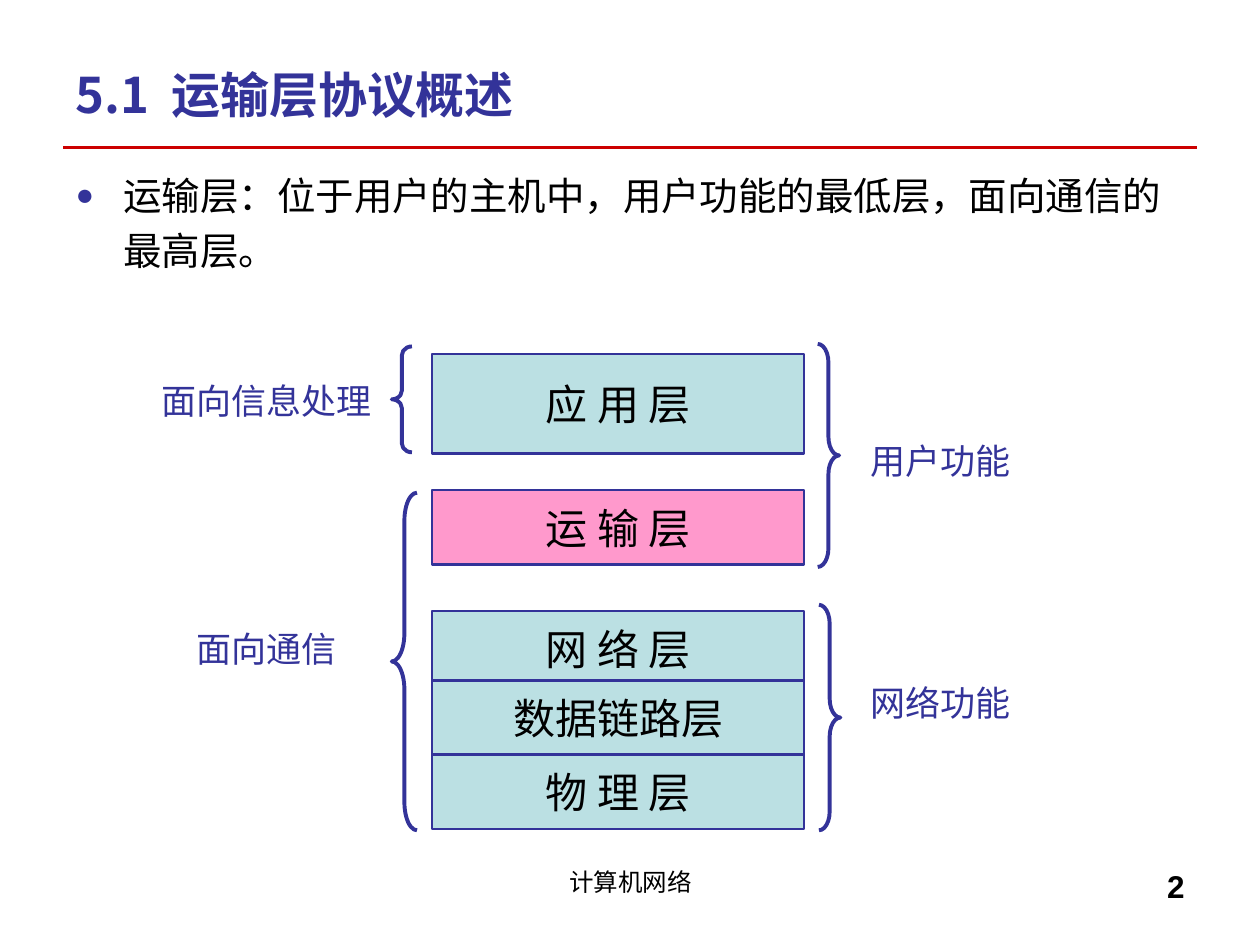
import pptx
import pptx.util
import pptx.dml.color
import pptx.enum.shapes
import pptx.enum.text
import pptx.oxml
import pptx.oxml.ns
from dataclasses import dataclass

PX = 9144  # 100 px to the inch


@dataclass(frozen=True)
class Theme:
    blue: str = "333399"
    red: str = "CC0000"
    teal: str = "BBE0E3"
    pink: str = "FF99CC"
    black: str = "000000"
    sans: str = "Arial"
    serif: str = "Times New Roman"
    han: str = "Noto Sans CJK SC"
    title: int = 28
    body: int = 22
    layer: int = 24
    label: int = 20
    foot: int = 14
    page: int = 18


T = Theme()
RGB = pptx.dml.color.RGBColor.from_string
KIND = pptx.enum.shapes.MSO_SHAPE
ALIGN = pptx.enum.text.PP_ALIGN
MID = pptx.enum.text.MSO_ANCHOR.MIDDLE
FIT = pptx.enum.text.MSO_AUTO_SIZE.NONE


def place(shape, left, top, width, height):
    shape.left, shape.top = left * PX, top * PX
    shape.width, shape.height = width * PX, height * PX


def write(shape, text, size, color, align, face=T.sans, bold=False, wrap=False):
    frame = shape.text_frame
    frame.auto_size = FIT
    frame.word_wrap = wrap
    para = frame.paragraphs[0]
    para.alignment = align
    run = para.add_run()
    run.text = text
    font = run.font
    font.size, font.bold, font.name = pptx.util.Pt(size), bold, face
    font.color.rgb = RGB(color)
    east = pptx.oxml.parse_xml(
        f'<a:ea {pptx.oxml.ns.nsdecls("a")} typeface="{T.han}"/>')
    font._element.find(pptx.oxml.ns.qn("a:latin")).addnext(east)
    return run


deck = pptx.Presentation()
deck.slide_width, deck.slide_height = 1000 * PX, 750 * PX
slide = deck.slides.add_slide(deck.slide_layouts[1])
shapes = slide.shapes

# Title, with a wide gap after the number
head = shapes.title
place(head, 50, 33, 900, 83)
head.text_frame.vertical_anchor = MID
for part, gap in (("5.1", 0), (" ", 630), ("运输层协议概述", 0)):
    run = write(head, part, T.title, T.blue, ALIGN.LEFT, T.han, True, True)
    run.font._element.set("spc", str(gap))

# Rule under the title
rule = shapes.add_connector(
    pptx.enum.shapes.MSO_CONNECTOR.STRAIGHT, 50 * PX, 117 * PX, 950 * PX, 117 * PX)
rule.line.color.rgb = RGB(T.red)
rule.line.width = pptx.util.Pt(2)
rule._element.spPr.append(
    pptx.oxml.parse_xml(f'<a:effectLst {pptx.oxml.ns.nsdecls("a")}/>'))

# Bulleted statement
body = slide.placeholders[1]
place(body, 50, 124, 900, 558)
para = body.text_frame.paragraphs[0]
para.line_spacing = 1.2
para.space_before = pptx.util.Pt(0)
props = para._p.get_or_add_pPr()
props.set("marL", str(38 * PX))
props.set("indent", str(-38 * PX))
for mark in (f'buClr {{}}><a:srgbClr val="{T.blue}"/></a:buClr>',
             'buSzPct {} val="80000"/>',
             f'buFont {{}} typeface="{T.sans}"/>',
             'buChar {} char="●"/>'):
    props.append(pptx.oxml.parse_xml("<a:" + mark.format(pptx.oxml.ns.nsdecls("a"))))
write(body, "运输层：位于用户的主机中，用户功能的最低层，面向通信的最高层。",
      T.body, T.black, ALIGN.LEFT, T.serif, wrap=True)

# Layer stack
for text, top, height, fill in (
        ("应 用 层", 281, 79, T.teal),
        ("运 输 层", 389, 59, T.pink),
        ("网 络 层", 485, 59, T.teal),
        ("数据链路层", 540, 59, T.teal),
        ("物 理 层", 599, 59, T.teal)):
    box = shapes.add_shape(KIND.RECTANGLE, 343 * PX, top * PX, 295 * PX, height * PX)
    box.shadow.inherit = False
    box.fill.solid()
    box.fill.fore_color.rgb = RGB(fill)
    box.line.color.rgb = RGB(T.blue)
    box.line.width = pptx.util.Pt(1.5)
    box.text_frame.vertical_anchor = MID
    write(box, text, T.layer, T.black, ALIGN.CENTER)

# Braces; each curl takes a twelfth of the height
for kind, left, top, width, height in (
        (KIND.LEFT_BRACE, 311, 275, 16, 84),
        (KIND.LEFT_BRACE, 311, 391, 20, 268),
        (KIND.RIGHT_BRACE, 649, 273, 17, 177),
        (KIND.RIGHT_BRACE, 650, 480, 17, 179)):
    brace = shapes.add_shape(kind, left * PX, top * PX, width * PX, height * PX)
    brace.adjustments[0] = height / 12 / width
    brace.shadow.inherit = False
    brace.fill.background()
    brace.line.color.rgb = RGB(T.blue)
    brace.line.width = pptx.util.Pt(2.25)

# Brace labels, footer and page number
for text, left, top, width, height, size, color, align, bold in (
        ("用户功能", 681, 344, 131, 44, T.label, T.blue, ALIGN.CENTER, False),
        ("网络功能", 681, 536, 131, 44, T.label, T.blue, ALIGN.CENTER, False),
        ("面向信息处理", 118, 296, 187, 44, T.label, T.blue, ALIGN.CENTER, False),
        ("面向通信", 146, 493, 131, 44, T.label, T.blue, ALIGN.CENTER, False),
        ("计算机网络", 342, 683, 317, 52, T.foot, T.black, ALIGN.CENTER, False),
        ("2", 717, 683, 233, 52, T.page, T.black, ALIGN.RIGHT, True)):
    note = shapes.add_textbox(left * PX, top * PX, width * PX, height * PX)
    write(note, text, size, color, align, bold=bold, wrap=height == 52)

deck.save("out.pptx")
